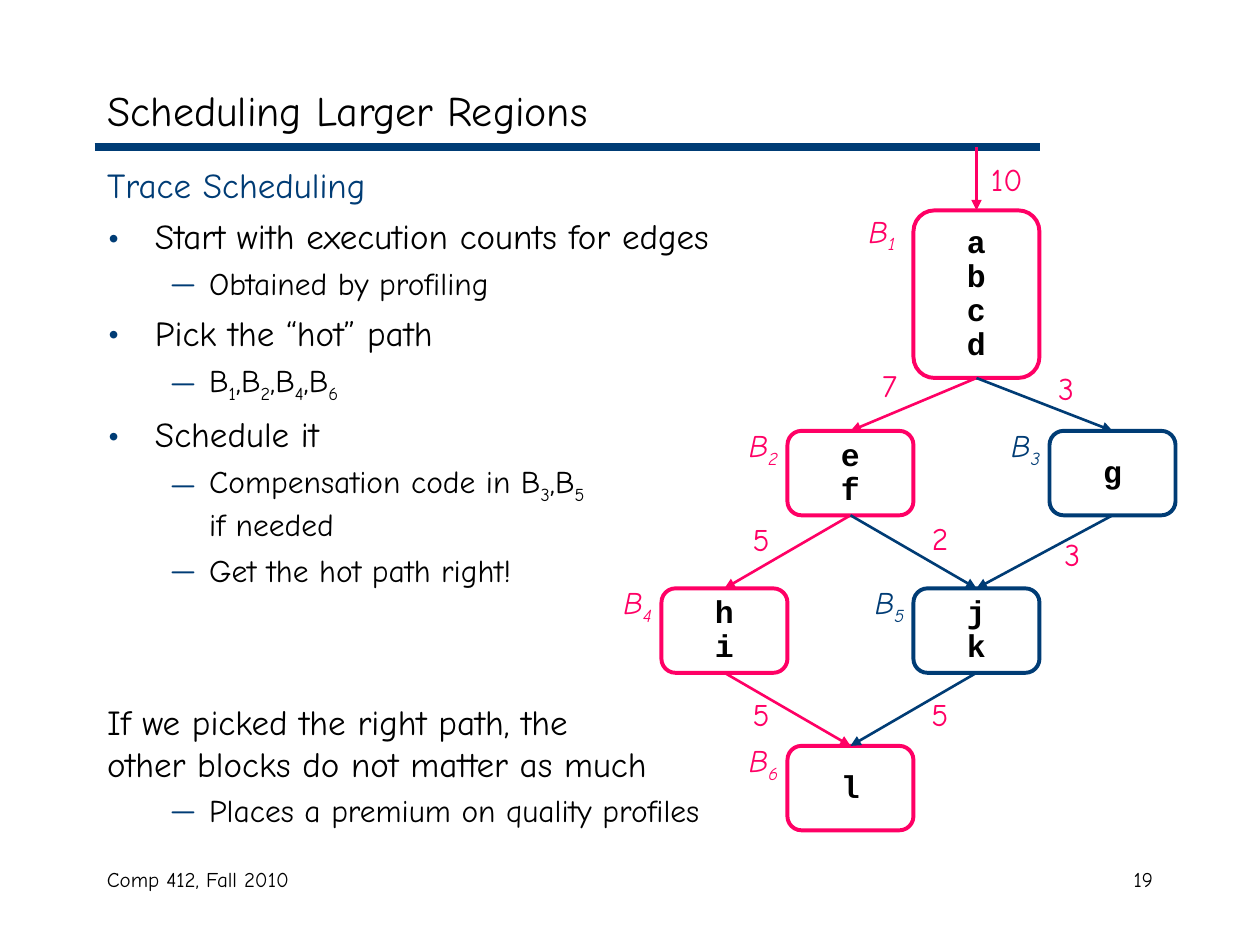
from dataclasses import dataclass

import lxml.etree
import pptx
import pptx.dml.color
import pptx.enum.shapes
import pptx.enum.text
import pptx.oxml.ns
import pptx.util

Inches = pptx.util.Inches
Pt = pptx.util.Pt
qn = pptx.oxml.ns.qn
Align = pptx.enum.text.PP_ALIGN
Anchor = pptx.enum.text.MSO_ANCHOR

HAND = "Comic Neue"
CODE = "Courier New"
BLUE = "003C75"
PINK = "FF0065"
BLACK = "000000"
TOP, BOTTOM = 0, 2


@dataclass(frozen=True)
class Block:
    code: str
    left: float
    top: float
    color: str
    height: float = 0.67
    label_shift: tuple[float, float] = (-0.44, -0.09)


@dataclass(frozen=True)
class Edge:
    source: str
    target: str
    color: str
    count: str
    count_left: float
    count_top: float


@dataclass(frozen=True)
class Item:
    text: str
    level: int = 0
    bullet: str = ""
    before: float = 5
    color: str = BLACK
    size: float = 20
    margin: float = 0.38
    indent: float = -0.38


def point(text: str) -> Item:
    return Item(text, bullet="•")


def detail(text: str, before: float = 4.5) -> Item:
    return Item(text, 1, "—", before, size=18, margin=0.81, indent=-0.31)


BLOCKS = {
    "B_1": Block("abcd", 7.25, 1.67, PINK, 1.33, (-0.5, -0.04)),
    "B_2": Block("ef", 6.25, 3.42, PINK),
    "B_3": Block("g", 8.33, 3.42, BLUE),
    "B_4": Block("hi", 5.25, 4.67, PINK),
    "B_5": Block("jk", 7.25, 4.67, BLUE),
    "B_6": Block("l", 6.25, 5.92, PINK),
}
EDGES = [
    Edge("", "B_1", PINK, "10", 7.7, 1.22),
    Edge("B_1", "B_2", PINK, "7", 6.77, 2.86),
    Edge("B_1", "B_3", BLUE, "3", 8.17, 2.88),
    Edge("B_2", "B_4", PINK, "5", 5.75, 4.08),
    Edge("B_2", "B_5", BLUE, "2", 7.17, 4.07),
    Edge("B_3", "B_5", BLUE, "3", 8.22, 4.2),
    Edge("B_4", "B_6", PINK, "5", 5.75, 5.47),
    Edge("B_5", "B_6", BLUE, "5", 7.17, 5.47),
]
ITEMS = [
    Item("Trace Scheduling", before=0, color=BLUE, margin=0, indent=0),
    point("Start with execution counts for edges"),
    detail("Obtained by profiling"),
    point("Pick the “hot” path"),
    detail("B_1,B_2,B_4,B_6"),
    point("Schedule it"),
    detail("Compensation code in B_3,B_5\vif needed"),
    detail("Get the hot path right!"),
    Item("If we picked the right path, the\vother blocks do not matter as much",
         before=64, margin=0, indent=0),
    detail("Places a premium on quality profiles", before=3.4),
]


def rgb(color: str) -> pptx.dml.color.RGBColor:
    return pptx.dml.color.RGBColor.from_string(color)


def write(para, text: str, *, size: float = 18, font: str = HAND, color: str = BLACK,
          bold: bool = False, italic: bool = False, align=Align.LEFT) -> None:
    para.alignment = align

    def add_span(words: str, lowered: bool) -> None:
        span = para.add_run()
        span.text = words
        span.font.size = Pt(size)
        span.font.name = font
        span.font.bold = bold
        span.font.italic = italic
        span.font.color.rgb = rgb(color)
        if lowered:
            span.font._element.set("baseline", "-25000")

    for number, line in enumerate(text.split("\v")):
        if number:
            para.add_line_break()
        first, *others = line.split("_")
        add_span(first, False)
        for piece in others:
            add_span(piece[0], True)
            if piece[1:]:
                add_span(piece[1:], False)


def add_label(page, text: str, left: float, top: float, width: float, height: float,
              **style) -> None:
    box = page.shapes.add_textbox(Inches(left), Inches(top), Inches(width), Inches(height))
    box.text_frame.word_wrap = True
    write(box.text_frame.paragraphs[0], text, **style)


def add_line(page, start: tuple[float, float], end: tuple[float, float],
             color: str, width: float, arrow: bool = False):
    line = page.shapes.add_connector(
        pptx.enum.shapes.MSO_CONNECTOR.STRAIGHT, *map(Inches, start + end))
    line.line.color.rgb = rgb(color)
    line.line.width = Pt(width)
    if arrow:
        lxml.etree.SubElement(line.line._get_or_add_ln(), qn("a:tailEnd"), type="triangle")
    lxml.etree.SubElement(line._element.spPr, qn("a:effectLst"))
    return line


def add_block(page, block: Block):
    shape = page.shapes.add_shape(
        pptx.enum.shapes.MSO_SHAPE.ROUNDED_RECTANGLE,
        Inches(block.left), Inches(block.top), Inches(1), Inches(block.height))
    shape.shadow.inherit = False
    shape.fill.background()
    shape.line.color.rgb = rgb(block.color)
    shape.line.width = Pt(2.25)
    frame = shape.text_frame
    frame.word_wrap = False
    frame.vertical_anchor = Anchor.MIDDLE
    for number, letter in enumerate(block.code):
        para = frame.add_paragraph() if number else frame.paragraphs[0]
        para.line_spacing = 0.9
        write(para, letter, font=CODE, bold=True, align=Align.CENTER)
    return shape


def add_edge(page, edge: Edge, shapes: dict) -> None:
    target = BLOCKS[edge.target]
    middle = target.left + 0.5
    line = add_line(page, (middle, 1.17), (middle, target.top), edge.color, 1.5, arrow=True)
    if edge.source:
        line.begin_connect(shapes[edge.source], BOTTOM)
    line.end_connect(shapes[edge.target], TOP)
    add_label(page, edge.count, edge.count_left, edge.count_top, 0.58, 0.4,
              color=PINK, align=Align.CENTER)


def add_item(para, item: Item) -> None:
    para.level = item.level
    properties = para._p.get_or_add_pPr()
    properties.set("marL", str(Inches(item.margin)))
    properties.set("indent", str(Inches(item.indent)))
    if item.bullet:
        paint = lxml.etree.SubElement(properties, qn("a:buClr"))
        lxml.etree.SubElement(paint, qn("a:srgbClr"), val=BLUE)
        percent = "100000" if item.level else "120000"
        lxml.etree.SubElement(properties, qn("a:buSzPct"), val=percent)
        lxml.etree.SubElement(properties, qn("a:buFont"), typeface=HAND)
        lxml.etree.SubElement(properties, qn("a:buChar"), char=item.bullet)
    else:
        lxml.etree.SubElement(properties, qn("a:buNone"))
    para.space_before = Pt(item.before)
    write(para, item.text, size=item.size, color=item.color)


def place(holder, left: float, top: float, width: float, height: float, anchor):
    holder.left, holder.top = Inches(left), Inches(top)
    holder.width, holder.height = Inches(width), Inches(height)
    frame = holder.text_frame
    frame.auto_size = pptx.enum.text.MSO_AUTO_SIZE.NONE
    frame.word_wrap = True
    frame.vertical_anchor = anchor
    return frame


def main() -> None:
    deck = pptx.Presentation()
    deck.slide_width, deck.slide_height = Inches(10), Inches(7.5)
    page = deck.slides.add_slide(deck.slide_layouts[1])
    title = place(page.shapes.title, 0.75, 0.58, 8.5, 0.58, Anchor.MIDDLE)
    write(title.paragraphs[0], "Scheduling Larger Regions", size=24)
    body = place(page.placeholders[1], 0.75, 1.25, 8.5, 5.42, Anchor.TOP)
    for number, item in enumerate(ITEMS):
        add_item(body.add_paragraph() if number else body.paragraphs[0], item)
    add_line(page, (0.75, 1.17), (8.25, 1.17), BLUE, 4.5)
    add_label(page, "Comp 412, Fall 2010", 0.75, 6.83, 3.17, 0.5, size=12)
    add_label(page, "19", 7.17, 6.83, 2.08, 0.5, size=12, align=Align.RIGHT)
    shapes = {name: add_block(page, block) for name, block in BLOCKS.items()}
    for edge in EDGES:
        add_edge(page, edge, shapes)
    for name, block in BLOCKS.items():
        across, down = block.label_shift
        add_label(page, name, block.left + across, block.top + down, 0.5, 0.44,
                  color=block.color, italic=True, align=Align.CENTER)
    deck.save("out.pptx")


if __name__ == "__main__":
    main()
